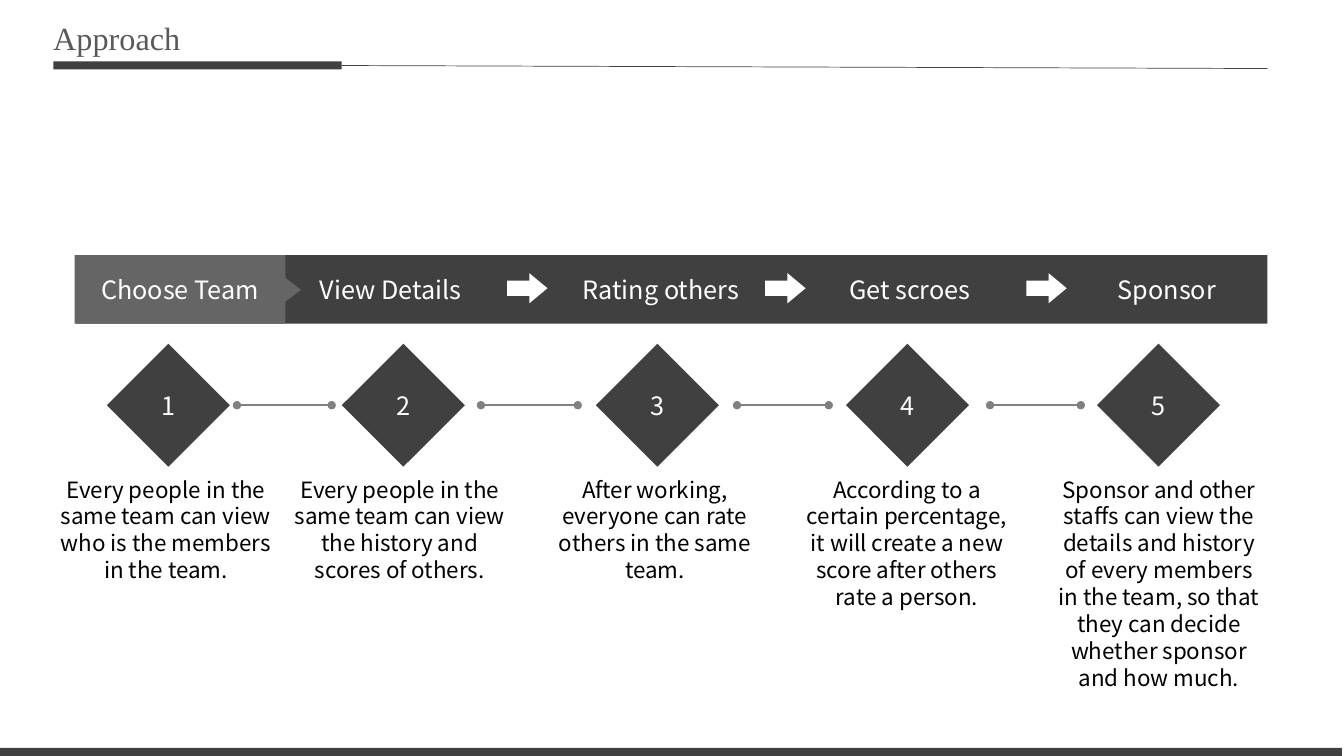
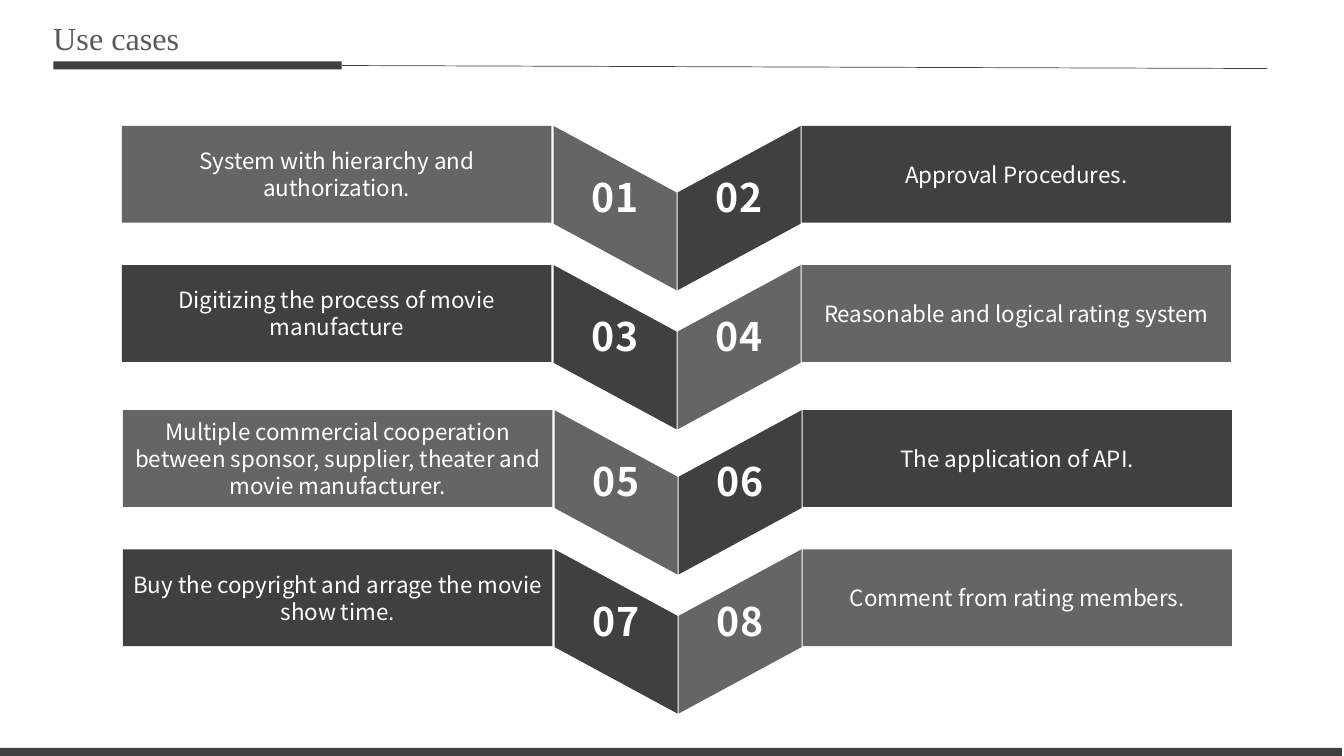
from dataclasses import dataclass
from typing import Any

import pptx
import pptx.dml.color
import pptx.enum.shapes
import pptx.enum.text
import pptx.oxml
import pptx.oxml.ns
import pptx.util

Inches = pptx.util.Inches
Pt = pptx.util.Pt
RGB = pptx.dml.color.RGBColor
Kind = pptx.enum.shapes.MSO_SHAPE
Line = pptx.enum.shapes.MSO_CONNECTOR
Align = pptx.enum.text.PP_ALIGN
Anchor = pptx.enum.text.MSO_ANCHOR


@dataclass(frozen=True)
class Theme:
    dark: str = "404040"
    mid: str = "656565"
    rule: str = "808080"
    title: str = "595959"
    ink: str = "000000"
    white: str = "FFFFFF"
    sans: str = "Noto Sans CJK SC"
    serif: str = "Times New Roman"
    head: int = 23
    count: int = 28
    label: int = 18
    body: int = 16


@dataclass(frozen=True)
class Box:
    x: float
    y: float
    w: float
    h: float

    def emu(self) -> list[int]:
        return [Inches(v) for v in (self.x, self.y, self.w, self.h)]


@dataclass(frozen=True)
class Step:
    mark: float
    note: float
    text: str


@dataclass(frozen=True)
class Row:
    x: float
    y: float
    left: str
    right: str


THEME = Theme()

STEPS = [
    Step(1.06, 0.5, "Every people in the same team can view who is the members in the team."),
    Step(3.39, 2.82, "Every people in the same team can view the history and scores of others."),
    Step(5.91, 5.35, "After working, everyone can rate others in the same team."),
    Step(8.39, 7.85, "According to a certain percentage, it will create a new score "
                     "after others rate a person."),
    Step(10.88, 10.35, "Sponsor and other staffs can view the details and history of every "
                       "members in the team, so that they can decide whether sponsor "
                       "and how much."),
]
LABELS = {2.96: "View Details", 5.64: "Rating others", 8.11: "Get scroes", 10.66: "Sponsor"}
ARROWS = [5.03, 7.59, 10.18]
LINKS = [(2.35, 3.29), (4.77, 5.73), (7.31, 8.22), (9.82, 10.72)]

ROWS = [
    Row(1.21, 1.25, "System with hierarchy and authorization.", "Approval Procedures."),
    Row(1.21, 2.63, "Digitizing the process of movie manufacture",
        "Reasonable and logical rating system"),
    Row(1.22, 4.07, "Multiple commercial cooperation between sponsor, supplier, theater "
                    "and movie manufacturer.", "The application of API."),
    Row(1.22, 5.45, "Buy the copyright and arrage the movie show time.",
        "Comment from rating members."),
]


def write(shape: Any, text: str, size: int, color: str, font: str = THEME.sans,
          bold: bool = False, align: Any = Align.CENTER, anchor: Any = Anchor.MIDDLE,
          wrap: bool = True) -> None:
    frame = shape.text_frame
    for name, value in {"word_wrap": wrap, "vertical_anchor": anchor}.items():
        setattr(frame, name, value)
    part = frame.paragraphs[0]
    part.alignment = align
    run = part.add_run()
    run.text = text
    for name, value in {"name": font, "size": Pt(size), "bold": bold}.items():
        setattr(run.font, name, value)
    run.font.color.rgb = RGB.from_string(color)


def paint(shape: Any, color: str) -> Any:
    shape.shadow.inherit = False
    shape.fill.solid()
    shape.fill.fore_color.rgb = RGB.from_string(color)
    shape.line.fill.background()
    return shape


def block(slide: Any, box: Box, color: str, kind: Any = Kind.RECTANGLE) -> Any:
    return paint(slide.shapes.add_shape(kind, *box.emu()), color)


def label(slide: Any, box: Box, text: str, size: int, color: str, **style: Any) -> None:
    write(slide.shapes.add_textbox(*box.emu()), text, size, color, **style)


def link(slide: Any, start: tuple[float, float], end: tuple[float, float],
         color: str, width: float, dots: bool = False) -> Any:
    """Draw a straight line, with round ends if dots is set."""
    line = slide.shapes.add_connector(
        Line.STRAIGHT, *[Inches(v) for v in (*start, *end)])
    line.line.color.rgb = RGB.from_string(color)
    line.line.width = Pt(width)
    if dots:
        stroke = line.line._get_or_add_ln()
        for tag in ("a:headEnd", "a:tailEnd"):
            tip = pptx.oxml.ns.qn(tag)
            stroke.append(stroke.makeelement(tip, {"type": "oval"}))
    props = line._element.spPr
    props.append(props.makeelement(pptx.oxml.ns.qn("a:effectLst"), {}))
    return line


def start(deck: Any, title: str) -> Any:
    """Add a blank slide with the shared title, rule and footer band."""
    slide = deck.slides.add_slide(deck.slide_layouts[6])
    bar = block(slide, Box(0.53, 0.61, 2.86, 0.08), THEME.dark)
    rule = link(slide, (3.39, 0.65), (12.57, 0.68), THEME.dark, 0.5)
    rule.begin_connect(bar, 3)
    label(slide, Box(0.43, 0.11, 3.04, 0.52), title, THEME.head, THEME.title,
          font=THEME.serif, align=Align.LEFT)
    block(slide, Box(-0.02, 7.42, 13.33, 0.08), THEME.dark)
    return slide


def steps(deck: Any) -> None:
    slide = start(deck, "Approach")
    block(slide, Box(0.75, 2.53, 11.82, 0.68), THEME.dark)
    for x, text in LABELS.items():
        label(slide, Box(x, 2.67, 1.83, 0.4), text, THEME.label, THEME.white,
              anchor=Anchor.TOP)
    for x in ARROWS:
        arrow = block(slide, Box(x, 2.71, 0.4, 0.3), THEME.white, Kind.RIGHT_ARROW)
        arrow.adjustments[1] = 0.6
    tab = block(slide, Box(0.74, 2.53, 2.09, 0.68), THEME.mid)
    write(tab, "Choose Team", THEME.label, THEME.white, wrap=False)
    point = block(slide, Box(2.72, 2.77, 0.32, 0.21), THEME.mid, Kind.ISOSCELES_TRIANGLE)
    point.rotation = 90
    for left, right in LINKS:
        link(slide, (left, 4.02), (right, 4.02), THEME.rule, 1, dots=True)
    for count, step in enumerate(STEPS, 1):
        mark = block(slide, Box(step.mark, 3.41, 1.22, 1.22), THEME.dark, Kind.DIAMOND)
        write(mark, str(count), THEME.label, THEME.white, wrap=False)
        label(slide, Box(step.note, 4.67, 2.29, 2.25), step.text, THEME.body, THEME.ink,
              anchor=Anchor.TOP)


def fold(slide: Any, x: float, y: float, near: float, far: float,
         color: str, text: str) -> None:
    """Draw a slanted ribbon whose left and right edges drop by near and far."""
    wide, high = 1.22, 0.97
    dots = [(x, y + near), (x + wide, y + far),
            (x + wide, y + far + high), (x, y + near + high)]
    first, *rest = [(Inches(a), Inches(b)) for a, b in dots]
    path = slide.shapes.build_freeform(*first)
    path.add_line_segments(rest, close=True)
    shape = paint(path.convert_to_shape(), color)
    shape.text_frame.margin_bottom = Inches(0.27)
    write(shape, text, THEME.count, THEME.white, bold=True, wrap=False)


def cases(deck: Any) -> None:
    slide = start(deck, "Use cases")
    drop = 0.66
    for n, row in enumerate(ROWS):
        tones = [THEME.mid, THEME.dark]
        if n % 2:
            tones.reverse()
        sides = [(row.left, 0, 4.28, 0, drop), (row.right, 6.74, 5.51, drop, 0)]
        for k, (text, shift, bend, near, far) in enumerate(sides):
            fold(slide, row.x + bend, row.y, near, far, tones[k], f"{2 * n + k + 1:02}")
            card = block(slide, Box(row.x + shift, row.y, 4.26, 0.96), tones[k])
            write(card, text, THEME.body, THEME.white)


def main() -> None:
    deck = pptx.Presentation()
    deck.slide_width, deck.slide_height = Inches(13.33), Inches(7.5)
    steps(deck)
    cases(deck)
    deck.save("out.pptx")


if __name__ == "__main__":
    main()
